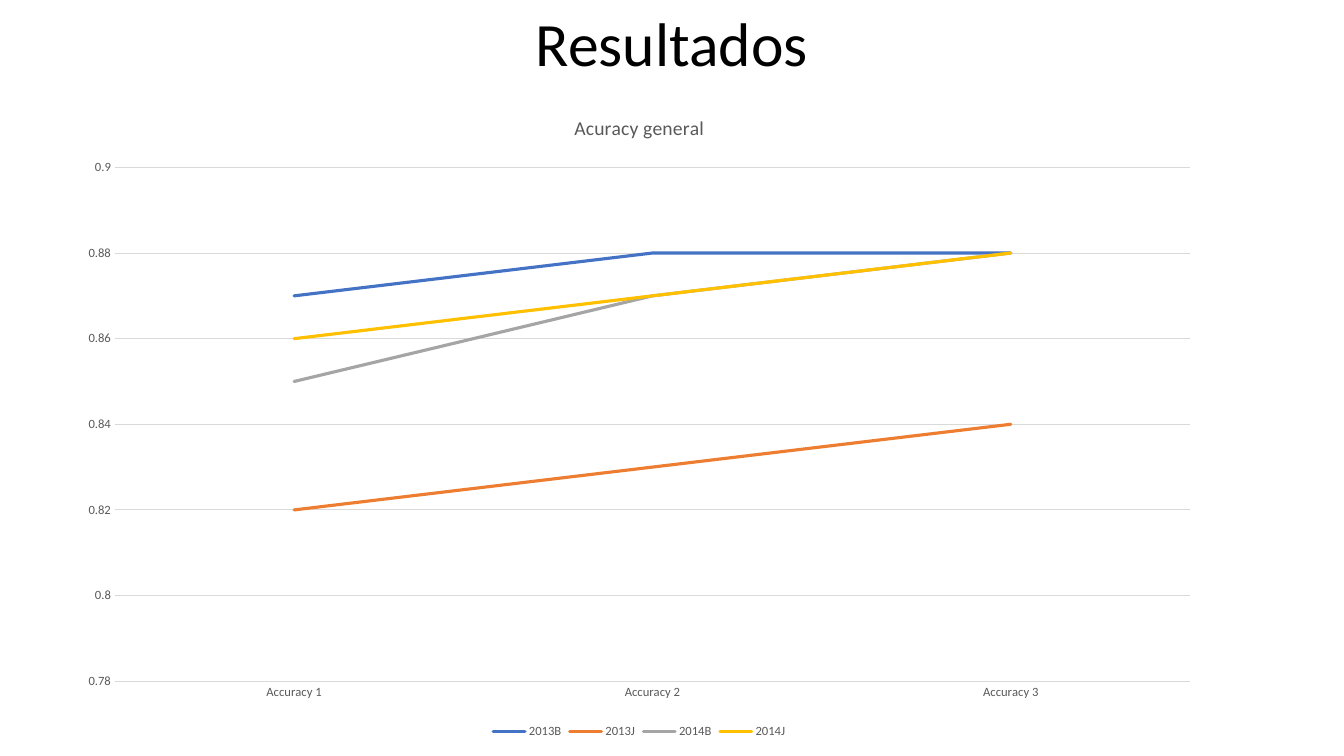
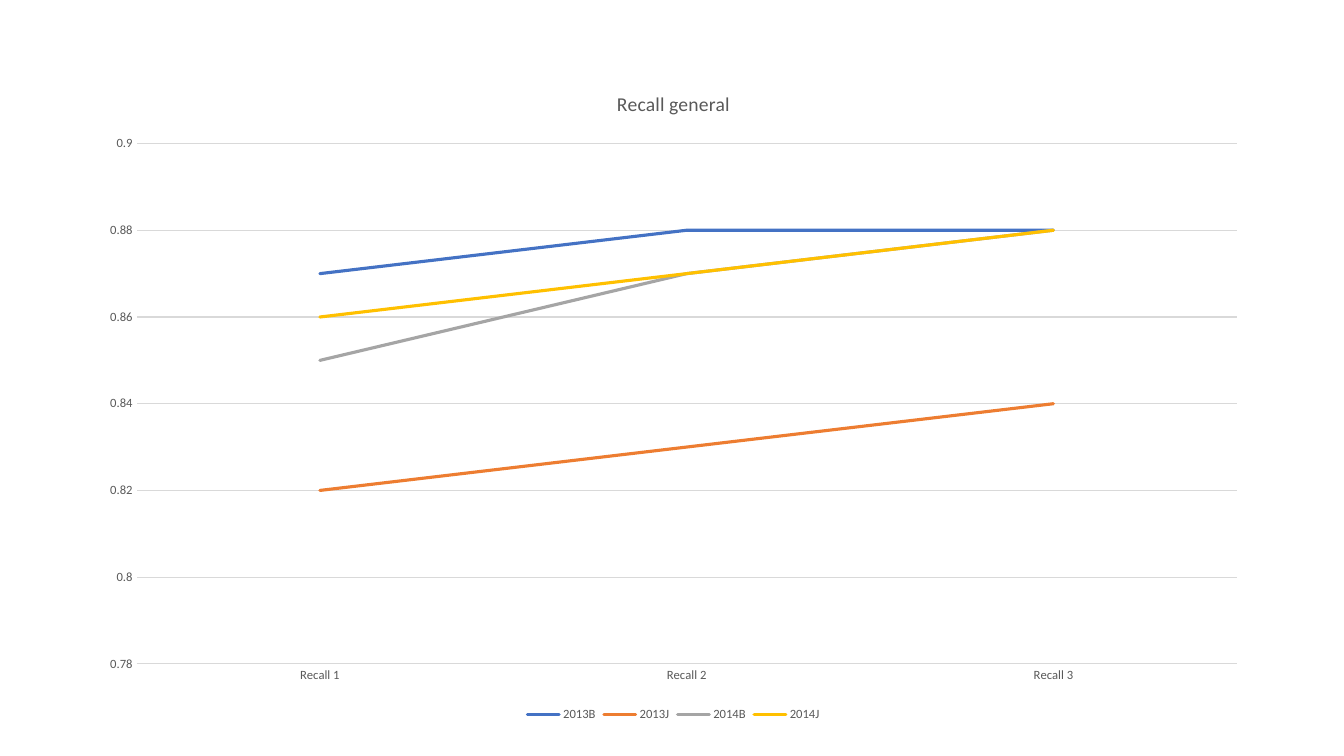
"""Build two slides of line charts that compare results by course presentation."""
import pptx
import pptx.chart.data
import pptx.dml.color
import pptx.enum.chart
import pptx.enum.text
import pptx.util

COLORS = {"title": "000000", "label": "595959", "rule": "D9D9D9"}
SERIES = {
    "2013B": ("4472C4", (0.87, 0.88, 0.88)),
    "2013J": ("ED7D31", (0.82, 0.83, 0.84)),
    "2014B": ("A5A5A5", (0.85, 0.87, 0.88)),
    "2014J": ("FFC000", (0.86, 0.87, 0.88)),
}
FONT = "Calibri"
WIDTH, HEIGHT = pptx.util.Inches(13.33), pptx.util.Inches(7.5)


def place(left, top, width, height):
    """Turn percentages of the slide into a position and a size."""
    return [round(share * side / 100) for share, side in
            zip((left, top, width, height), (WIDTH, HEIGHT) * 2)]


def rgb(color):
    """Return the colour for a hex string."""
    return pptx.dml.color.RGBColor.from_string(color)


def style_font(font, size, color):
    """Set the shared typeface with a size and a colour."""
    font.name = FONT
    font.size = pptx.util.Pt(size)
    font.bold = False
    font.color.rgb = rgb(color)


def style_line(line, width, color):
    """Set the width and colour of a line."""
    line.width = pptx.util.Pt(width)
    line.color.rgb = rgb(color)


def add_title(slide, text, area):
    """Add the centred slide title."""
    frame = slide.shapes.add_textbox(*place(*area)).text_frame
    frame.word_wrap = True
    frame.margin_left = frame.margin_right = 0
    frame.vertical_anchor = pptx.enum.text.MSO_ANCHOR.MIDDLE
    para = frame.paragraphs[0]
    para.text = text
    para.alignment = pptx.enum.text.PP_ALIGN.CENTER
    para.line_spacing = 0.9
    style_font(para.font, 44, COLORS["title"])


def style_axes(chart):
    """Style both axes and the horizontal gridlines."""
    for axis in (chart.category_axis, chart.value_axis):
        axis.major_tick_mark = pptx.enum.chart.XL_TICK_MARK.NONE
        axis.minor_tick_mark = pptx.enum.chart.XL_TICK_MARK.NONE
        style_font(axis.tick_labels.font, 9, COLORS["label"])
    style_line(chart.category_axis.format.line, 0.75, COLORS["rule"])
    values = chart.value_axis
    values.minimum_scale, values.maximum_scale = 0.78, 0.9
    values.major_unit = 0.02
    values.format.line.fill.background()
    style_line(values.major_gridlines.format.line, 0.75, COLORS["rule"])


def add_line_chart(slide, title, measure, area):
    """Add a line chart of one measure over its three rounds."""
    data = pptx.chart.data.CategoryChartData()
    data.categories = [f"{measure} {number}" for number in range(1, 4)]
    for name, (_, values) in SERIES.items():
        data.add_series(name, values)
    chart = slide.shapes.add_chart(
        pptx.enum.chart.XL_CHART_TYPE.LINE, *place(*area), data).chart
    style_font(chart.font, 10, COLORS["title"])
    chart.has_title = True
    chart.chart_title.include_in_layout = False
    para = chart.chart_title.text_frame.paragraphs[0]
    para.text = title
    style_font(para.font, 14, COLORS["label"])
    chart.has_legend = True
    chart.legend.position = pptx.enum.chart.XL_LEGEND_POSITION.BOTTOM
    chart.legend.include_in_layout = False
    style_font(chart.legend.font, 9, COLORS["label"])
    style_axes(chart)
    chart.plots[0].vary_by_categories = False
    for series in chart.plots[0].series:
        series.smooth = False
        style_line(series.format.line, 2.25, SERIES[series.name][0])
        series.format.line._get_or_add_ln().set("cap", "rnd")


def main():
    """Build and save the deck."""
    deck = pptx.Presentation()
    deck.slide_width, deck.slide_height = WIDTH, HEIGHT
    blank = deck.slide_layouts[6]
    accuracy = deck.slides.add_slide(blank)
    add_title(accuracy, "Resultados", (39.08, 0, 21.83, 12.27))
    add_line_chart(accuracy, "Acuracy general", "Accuracy",
                   (4.88, 12.27, 85.37, 86))
    recall = deck.slides.add_slide(blank)
    add_line_chart(recall, "Recall general", "Recall",
                   (6.45, 9.07, 87.32, 86.93))
    deck.save("out.pptx")


main()
